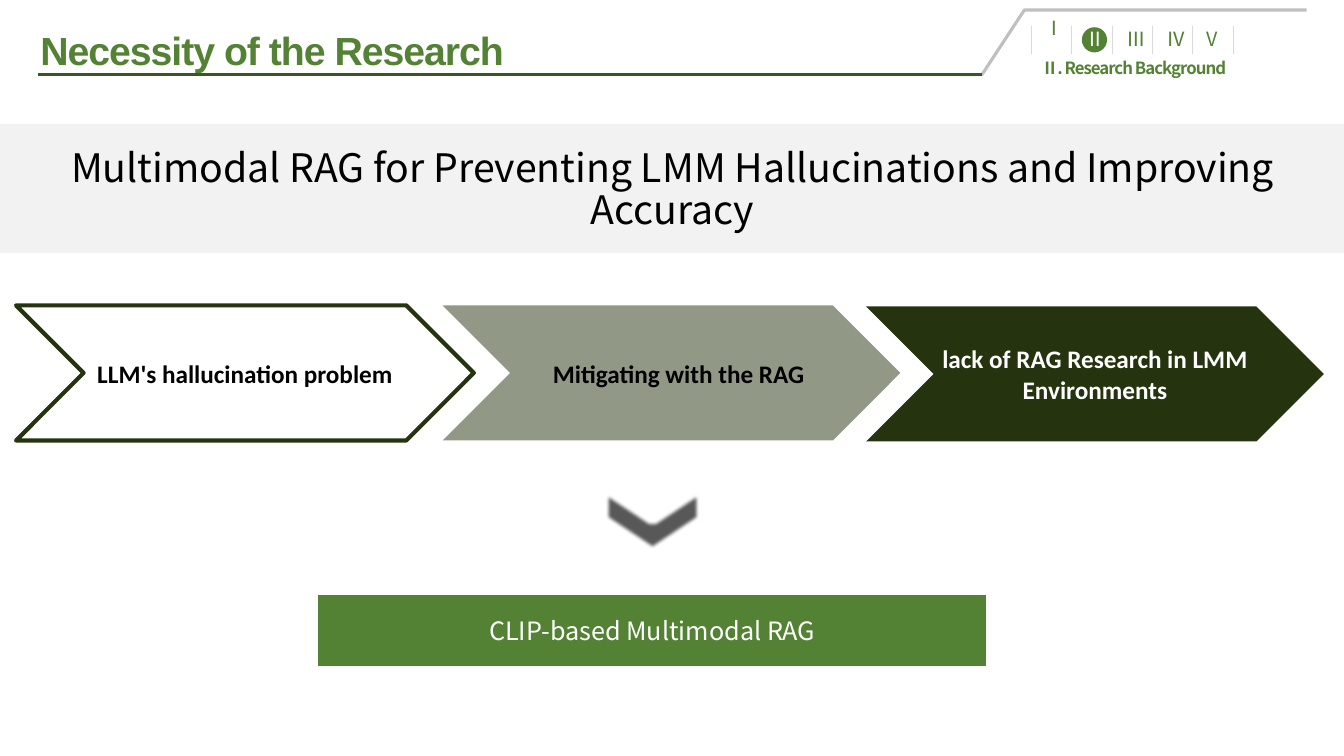
from lxml import etree
from pptx import Presentation
from pptx.dml.color import RGBColor
from pptx.enum.shapes import MSO_CONNECTOR, MSO_SHAPE
from pptx.enum.text import MSO_ANCHOR, MSO_AUTO_SIZE, PP_ALIGN
from pptx.oxml.ns import qn
from pptx.util import Inches, Pt

RECT, OVAL, CHEVRON = MSO_SHAPE.RECTANGLE, MSO_SHAPE.OVAL, MSO_SHAPE.CHEVRON
STRAIGHT = MSO_CONNECTOR.STRAIGHT
TOP, MIDDLE = MSO_ANCHOR.TOP, MSO_ANCHOR.MIDDLE
LEFT, CENTER = PP_ALIGN.LEFT, PP_ALIGN.CENTER
FIT_SHAPE = MSO_AUTO_SIZE.SHAPE_TO_FIT_TEXT

NOTO, ARIAL, CALIBRI = "Noto Sans CJK KR", "Arial", "Calibri"
GREEN, DARK, RULE = "548235", "25330F", "385723"
BLACK, WHITE = "000000", "FFFFFF"


def rgb(value):
    """Turn a hex string into a colour."""
    return RGBColor.from_string(value)


def style(sp, fill=None, line=None, width=1, alpha=None):
    """Set the fill and outline of a shape and drop its shadow."""
    sp.shadow.inherit = False
    if fill:
        sp.fill.solid()
        sp.fill.fore_color.rgb = rgb(fill)
        if alpha:
            color = sp._element.spPr.find(".//" + qn("a:srgbClr"))
            etree.SubElement(color, qn("a:alpha")).set("val", str(alpha * 1000))
    else:
        sp.fill.background()
    if line:
        sp.line.color.rgb = rgb(line)
        sp.line.width = Pt(width)
    else:
        sp.line.fill.background()


def add_shape(s, kind, x, y, w, h, **look):
    """Add a preset shape."""
    sp = s.shapes.add_shape(kind, Inches(x), Inches(y), Inches(w), Inches(h))
    style(sp, **look)
    return sp


def add_path(s, points, close=False, **look):
    """Add a freeform through points given in inches."""
    points = [(Inches(x), Inches(y)) for x, y in points]
    builder = s.shapes.build_freeform(*points[0])
    builder.add_line_segments(points[1:], close=close)
    sp = builder.convert_to_shape()
    style(sp, **look)
    return sp


def add_line(s, x1, y1, x2, y2, color, width):
    """Add a straight line without a shadow."""
    ln = s.shapes.add_connector(
        STRAIGHT, Inches(x1), Inches(y1), Inches(x2), Inches(y2))
    ln.line.color.rgb = rgb(color)
    ln.line.width = Pt(width)
    etree.SubElement(ln._element.spPr, qn("a:effectLst"))


def write(sp, text, font=NOTO, size=18, color=BLACK, bold=False, align=CENTER,
          anchor=MIDDLE, inset=None, wrap=True, leading=None, before=None,
          spacing=None, grow=False):
    """Put formatted text into a shape."""
    tf = sp.text_frame
    tf.word_wrap = wrap
    tf.vertical_anchor = anchor
    if grow:
        tf.auto_size = FIT_SHAPE
    if inset is not None:
        tf.margin_left = tf.margin_right = Inches(inset)
        tf.margin_top = tf.margin_bottom = Inches(inset)
    p = tf.paragraphs[0]
    p.alignment = align
    if leading:
        p.line_spacing = leading
    if before:
        p.space_before = Pt(before)
    r = p.add_run()
    r.text = text
    r.font.name = font
    r.font.size = Pt(size)
    r.font.bold = bold
    r.font.color.rgb = rgb(color)
    props = r._r.get_or_add_rPr()
    etree.SubElement(props, qn("a:ea")).set("typeface", font)
    if spacing:
        props.set("spc", str(round(spacing * 100)))


def add_text(s, text, x, y, w, h, **fmt):
    """Add a text box."""
    sp = s.shapes.add_textbox(Inches(x), Inches(y), Inches(w), Inches(h))
    write(sp, text, **fmt)


def add_step(s, x, y, **look):
    """Add one wide arrow of the process row."""
    w, h, tip = 4.54, 1.34, 0.67
    outline = [(0, 0), (w - tip, 0), (w, h / 2), (w - tip, h), (0, h), (tip, h / 2)]
    return add_path(s, [(x + dx, y + dy) for dx, dy in outline], close=True, **look)


def add_header(s):
    """Add the title rule and the chapter tracker."""
    add_path(s, [(12.96, 0.1), (10.16, 0.1), (9.74, 0.74), (9.53, 0.74)],
             line="BFBFBF", width=2.25)
    add_line(s, 9.74, 0.74, 0.38, 0.74, RULE, 2.25)
    add_text(s, "Ⅱ. Research Background", 10.33, 0.57, 1.85, 0.2, size=12,
             color=GREEN, bold=True, align=LEFT, anchor=TOP, inset=0,
             spacing=-0.7, grow=True)
    add_shape(s, OVAL, 10.73, 0.27, 0.25, 0.25, fill=GREEN)
    numeral = dict(size=14, align=LEFT, inset=0, leading=1.1, spacing=-0.3)
    add_text(s, "Ⅰ", 10.36, 0.13, 0.16, 0.51, color=GREEN, anchor=TOP, **numeral)
    for i, (text, color) in enumerate(
            [("Ⅱ", WHITE), ("Ⅲ", GREEN), ("Ⅳ", GREEN), ("V", GREEN)]):
        add_text(s, text, 10.77 + 0.4 * i, 0.12, 0.45, 0.51, color=color, **numeral)
    for i in range(6):
        x = 10.23 + 0.4 * i
        add_line(s, x, 0.54, x, 0.26, "D9D9D9", 0.75)
    add_text(s, "Necessity of the Research", 0.4, 0.31, 7.43, 0.42, font=ARIAL,
             size=28, color=GREEN, bold=True, align=LEFT, anchor=TOP, inset=0,
             leading=0.9, before=10, spacing=-0.7, grow=True)


def add_steps(s):
    """Add the row of three arrows with their labels."""
    label = dict(font=CALIBRI, bold=True)
    problem = add_step(s, 0.16, 3.03, line=DARK, width=3)
    write(problem, "LLM's hallucination problem", **label)
    gap = add_step(s, 8.59, 3.04, fill=DARK)
    write(gap, "lack of RAG Research in LMM Environments", color=WHITE, **label)
    add_step(s, 4.39, 3.03, fill=DARK, alpha=50)
    add_text(s, "Mitigating with the RAG", 5.37, 3.5, 2.72, 0.4, wrap=False,
             grow=True, **label)


def add_conclusion(s):
    """Add the soft-edged down arrow and the result bar."""
    arrow = add_shape(s, CHEVRON, 6.17, 4.7, 0.61, 0.93, fill="595959")
    arrow.rotation = 90
    effects = arrow._element.spPr.find(qn("a:effectLst"))
    etree.SubElement(effects, qn("a:softEdge")).set("rad", str(Pt(2.5)))
    bar = add_shape(s, RECT, 3.15, 5.9, 6.64, 0.71, fill=GREEN, line=WHITE)
    write(bar, "CLIP-based Multimodal RAG", color=WHITE)


def main():
    """Build the slide and save it."""
    prs = Presentation()
    prs.slide_width, prs.slide_height = Inches(13.33), Inches(7.5)
    s = prs.slides.add_slide(prs.slide_layouts[6])
    add_shape(s, RECT, 0, 1.23, 13.33, 1.28, fill="F2F2F2")
    add_header(s)
    add_text(s, "Multimodal RAG for Preventing LMM Hallucinations and Improving Accuracy",
             0.38, 1.39, 12.58, 1.01, size=28, leading=0.9, before=10)
    add_steps(s)
    add_conclusion(s)
    prs.save("out.pptx")


if __name__ == "__main__":
    main()
